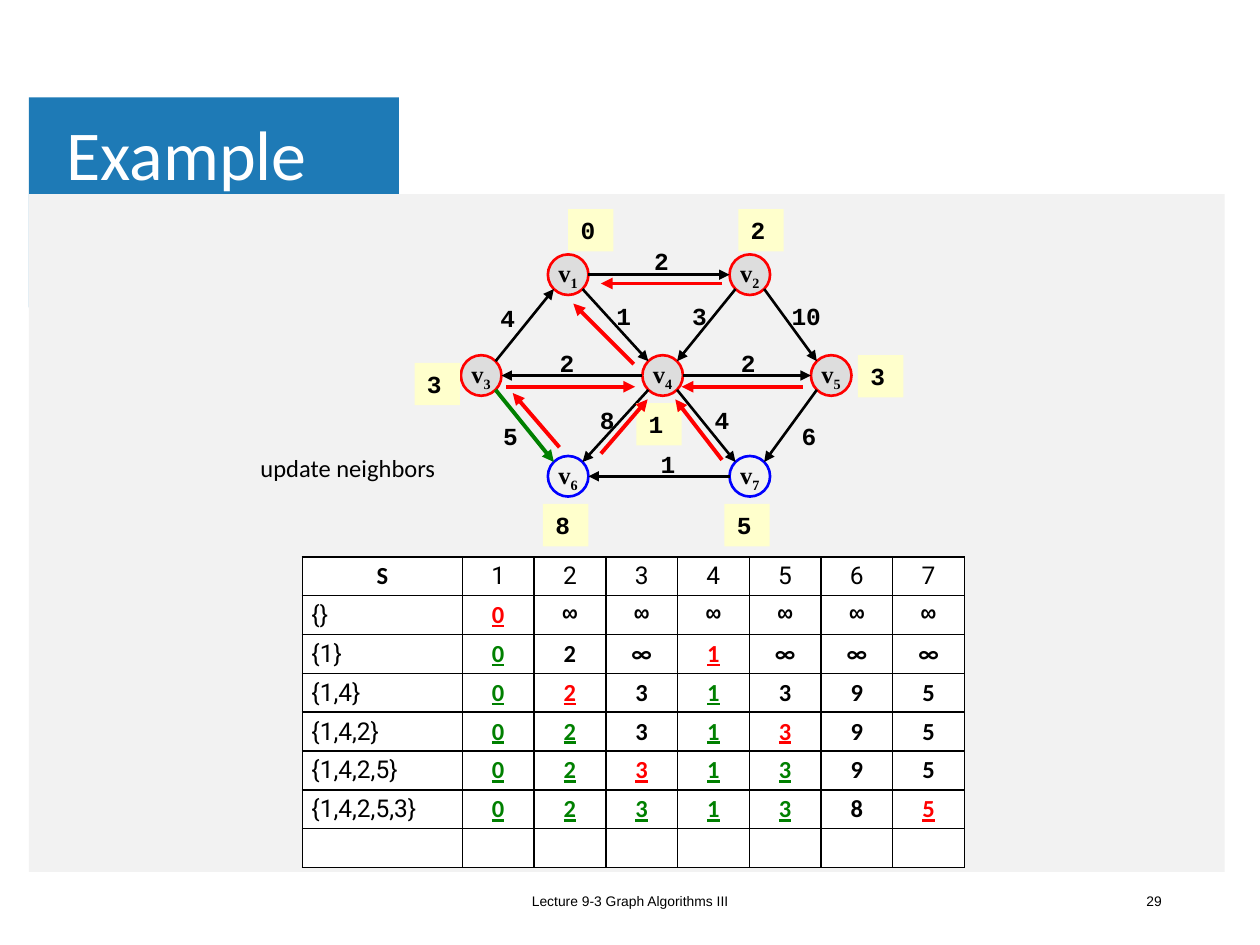
from math import sqrt
from typing import NamedTuple

from lxml.etree import SubElement
from pptx import Presentation
from pptx.dml.color import RGBColor
from pptx.enum.shapes import MSO_CONNECTOR, MSO_SHAPE
from pptx.enum.text import MSO_ANCHOR, MSO_AUTO_SIZE, PP_ALIGN
from pptx.oxml.ns import qn
from pptx.util import Pt

BLACK = RGBColor(0x00, 0x00, 0x00)
WHITE = RGBColor(0xFF, 0xFF, 0xFF)
RED = RGBColor(0xFF, 0x00, 0x00)
GREEN = RGBColor(0x00, 0x80, 0x00)
BLUE = RGBColor(0x00, 0x00, 0xFF)
TITLE_BLUE = RGBColor(0x1E, 0x7A, 0xB6)
PANEL_GRAY = RGBColor(0xF2, 0xF2, 0xF2)
NODE_GRAY = RGBColor(0xDD, 0xDD, 0xDD)
YELLOW = RGBColor(0xFF, 0xFF, 0xCC)

RADIUS = 11.6


class Node(NamedTuple):
    x: float
    y: float
    known: bool


class Edge(NamedTuple):
    start: int
    end: int
    color: RGBColor = BLACK
    width: float = 1.5


class Arrow(NamedTuple):
    x1: float
    y1: float
    x2: float
    y2: float


class Label(NamedTuple):
    text: str
    x: float
    y: float
    w: float = 24.5


NODES = {
    1: Node(324.7, 157, True),
    2: Node(428.5, 157, True),
    3: Node(275, 214.6, True),
    4: Node(378.7, 214.6, True),
    5: Node(475, 214.6, True),
    6: Node(324.7, 272.2, False),
    7: Node(428.5, 272.2, False),
}
EDGES = [
    Edge(7, 6), Edge(4, 3), Edge(1, 2), Edge(4, 5), Edge(2, 5), Edge(5, 7),
    Edge(1, 4), Edge(2, 4), Edge(3, 1), Edge(3, 6, GREEN, 2.25),
    Edge(4, 7), Edge(4, 6),
]
WEIGHTS = [
    Label("4", 277.9, 169.2), Label("1", 344.2, 168.5), Label("2", 365.8, 136.8),
    Label("10", 444.2, 168.5, 33.1), Label("3", 387.4, 168.5), Label("6", 450, 236.9),
    Label("4", 400.3, 227.5), Label("2", 415.4, 195.1), Label("2", 311.8, 195.1),
    Label("8", 334.8, 227.5), Label("5", 279.4, 236.9), Label("1", 369.4, 252.7),
]
DISTANCES = [
    Label("0", 324.7, 119.5, 25.9), Label("2", 421.9, 119.5, 25.9),
    Label("3", 236.9, 207.4, 25.9), Label("3", 490.3, 203, 25.9),
    Label("1", 363.6, 230.4, 25.9), Label("8", 310.3, 288, 25.9),
    Label("5", 414, 288, 25.9),
]
BACK_ARROWS = [
    Arrow(458.6, 221, 389.5, 221), Arrow(412.6, 262.8, 385.9, 228.2),
    Arrow(343.4, 259.2, 370.1, 228.2), Arrow(289.4, 221, 362.9, 221),
    Arrow(362.2, 208.1, 327.6, 173.5), Arrow(412.6, 162, 343.4, 162),
    Arrow(319.7, 255.6, 293, 224.6),
]
MARKS = {"+": GREEN, "!": RED}
TABLE = [
    "S 1 2 3 4 5 6 7",
    "{} 0! ∞ ∞ ∞ ∞ ∞ ∞",
    "{1} 0+ 2 ∞ 1! ∞ ∞ ∞",
    "{1,4} 0+ 2! 3 1+ 3 9 5",
    "{1,4,2} 0+ 2+ 3 1+ 3! 9 5",
    "{1,4,2,5} 0+ 2+ 3! 1+ 3+ 9 5",
    "{1,4,2,5,3} 0+ 2+ 3+ 1+ 3+ 8 5!",
    "",
]


def set_font(p, size: float, name: str, color: RGBColor = BLACK, bold: bool = False) -> None:
    f = p.font
    f.size, f.name, f.bold = Pt(size), name, bold
    f.color.rgb = color


def add_box(s, x: float, y: float, w: float, h: float, fill: RGBColor | None,
            line: RGBColor | None = None, kind=MSO_SHAPE.RECTANGLE):
    sp = s.shapes.add_shape(kind, Pt(x), Pt(y), Pt(w), Pt(h))
    sp.shadow.inherit = False
    if fill is None:
        sp.fill.background()
    else:
        sp.fill.solid()
        sp.fill.fore_color.rgb = fill
    if line is None:
        sp.line.fill.background()
    else:
        sp.line.color.rgb = line
        sp.line.width = Pt(1.5)
    return sp


def write(sp, text: str, size: float, name: str, color: RGBColor = BLACK, bold: bool = False,
          align=PP_ALIGN.LEFT, anchor=MSO_ANCHOR.MIDDLE, grow: bool = False):
    tf = sp.text_frame
    tf.word_wrap = True
    tf.vertical_anchor = anchor
    if grow:
        tf.auto_size = MSO_AUTO_SIZE.SHAPE_TO_FIT_TEXT
    p = tf.paragraphs[0]
    p.text = text
    p.alignment = align
    set_font(p, size, name, color, bold)
    return p


def add_text(s, x: float, y: float, w: float, h: float, *args, **kwargs):
    return write(s.shapes.add_textbox(Pt(x), Pt(y), Pt(w), Pt(h)), *args, **kwargs)


def add_arrow(s, a: Arrow, color: RGBColor, width: float) -> None:
    c = s.shapes.add_connector(MSO_CONNECTOR.STRAIGHT, Pt(a.x1), Pt(a.y1), Pt(a.x2), Pt(a.y2))
    c.line.color.rgb = color
    c.line.width = Pt(width)
    SubElement(c.line._get_or_add_ln(), qn("a:tailEnd"), type="triangle")
    SubElement(c._element.spPr, qn("a:effectLst"))


def add_edge(s, e: Edge) -> None:
    a, b = NODES[e.start], NODES[e.end]
    reach = RADIUS if a.y == b.y else RADIUS / sqrt(2)
    dx = reach if b.x > a.x else -reach
    dy = 0 if a.y == b.y else reach if b.y > a.y else -reach
    add_arrow(s, Arrow(a.x + dx, a.y + dy, b.x - dx, b.y - dy), e.color, e.width)


def add_node(s, number: int, n: Node) -> None:
    sp = add_box(s, n.x - RADIUS, n.y - RADIUS, 2 * RADIUS, 2 * RADIUS,
                 NODE_GRAY if n.known else None, RED if n.known else BLUE, MSO_SHAPE.OVAL)
    p = write(sp, "v", 14, "Times New Roman", bold=True, align=PP_ALIGN.CENTER)
    sp.text_frame.word_wrap = False
    r = p.add_run()
    r.text = str(number)
    r.font._element.set("baseline", "-25000")


def fill_cell(cell, row: int, col: int, value: str) -> None:
    tc_pr = cell._tc.get_or_add_tcPr()
    for side in ("lnL", "lnR", "lnT", "lnB"):
        ln = SubElement(tc_pr, qn(f"a:{side}"), w=str(Pt(1)))
        SubElement(SubElement(ln, qn("a:solidFill")), qn("a:srgbClr"), val=str(BLACK))
    cell.fill.solid()
    cell.fill.fore_color.rgb = WHITE
    cell.margin_left = cell.margin_right = Pt(5.2)
    cell.margin_top = cell.margin_bottom = Pt(2.6)
    cell.vertical_anchor = MSO_ANCHOR.MIDDLE if row else MSO_ANCHOR.TOP
    p = cell.text_frame.paragraphs[0]
    if not value:
        p._p.get_or_add_endParaRPr().set("sz", "1400")
        return
    mark = MARKS.get(value[-1])
    p.text = value[:-1] if mark else value
    p.alignment = PP_ALIGN.LEFT if row and col == 0 else PP_ALIGN.CENTER
    bold = (row == 0) == (col == 0)
    name = "Courier New" if row == 1 and value == "∞" else "Calibri" if bold else "Roboto"
    set_font(p, 14, name, mark or BLACK, bold)
    p.font.underline = mark is not None


def add_distance_table(s) -> None:
    widths = [91.4] + [41] * 7
    t = s.shapes.add_table(len(TABLE), len(widths), Pt(172.8), Pt(318.2),
                           Pt(sum(widths)), Pt(22.2 * len(TABLE))).table
    t.first_row = t.horz_banding = False
    for column, width in zip(t.columns, widths):
        column.width = Pt(width)
    for i, line in enumerate(TABLE):
        t.rows[i].height = Pt(22.2)
        for j, value in enumerate(line.split() or [""] * len(widths)):
            fill_cell(t.cell(i, j), i, j, value)


def main() -> None:
    prs = Presentation()
    prs.slide_width, prs.slide_height = Pt(720), Pt(540)
    s = prs.slides.add_slide(prs.slide_layouts[6])
    add_box(s, 16.5, 55.7, 211.5, 120, TITLE_BLUE)
    add_box(s, 16.5, 110.9, 683.3, 387.3, PANEL_GRAY)
    title = add_text(s, 31, 54.7, 578, 70.6, "Example", 40, "Calibri", WHITE)
    title.line_spacing = 0.9
    add_text(s, 238.3, 500.4, 243.4, 28.8, "Lecture 9-3 Graph Algorithms III", 7.9, "Arial",
             align=PP_ALIGN.CENTER)
    add_text(s, 509, 500.4, 162, 28.8, "29", 7.9, "Arial", align=PP_ALIGN.RIGHT)
    for number, node in NODES.items():
        add_node(s, number, node)
    for edge in EDGES:
        add_edge(s, edge)
    for w in WEIGHTS:
        add_text(s, w.x, w.y, w.w, 24.2, w.text, 14, "Courier New", bold=True,
                 align=PP_ALIGN.CENTER, grow=True)
    for d in DISTANCES:
        write(add_box(s, d.x, d.y, d.w, 24.2, YELLOW), d.text, 14, "Courier New", bold=True,
              anchor=MSO_ANCHOR.TOP, grow=True)
    for arrow in BACK_ARROWS:
        add_arrow(s, arrow, RED, 2.25)
    add_text(s, 141.8, 255.6, 149, 24.2, "update neighbors", 14, "Calibri",
             anchor=MSO_ANCHOR.TOP, grow=True)
    add_distance_table(s)
    prs.save("out.pptx")


if __name__ == "__main__":
    main()
